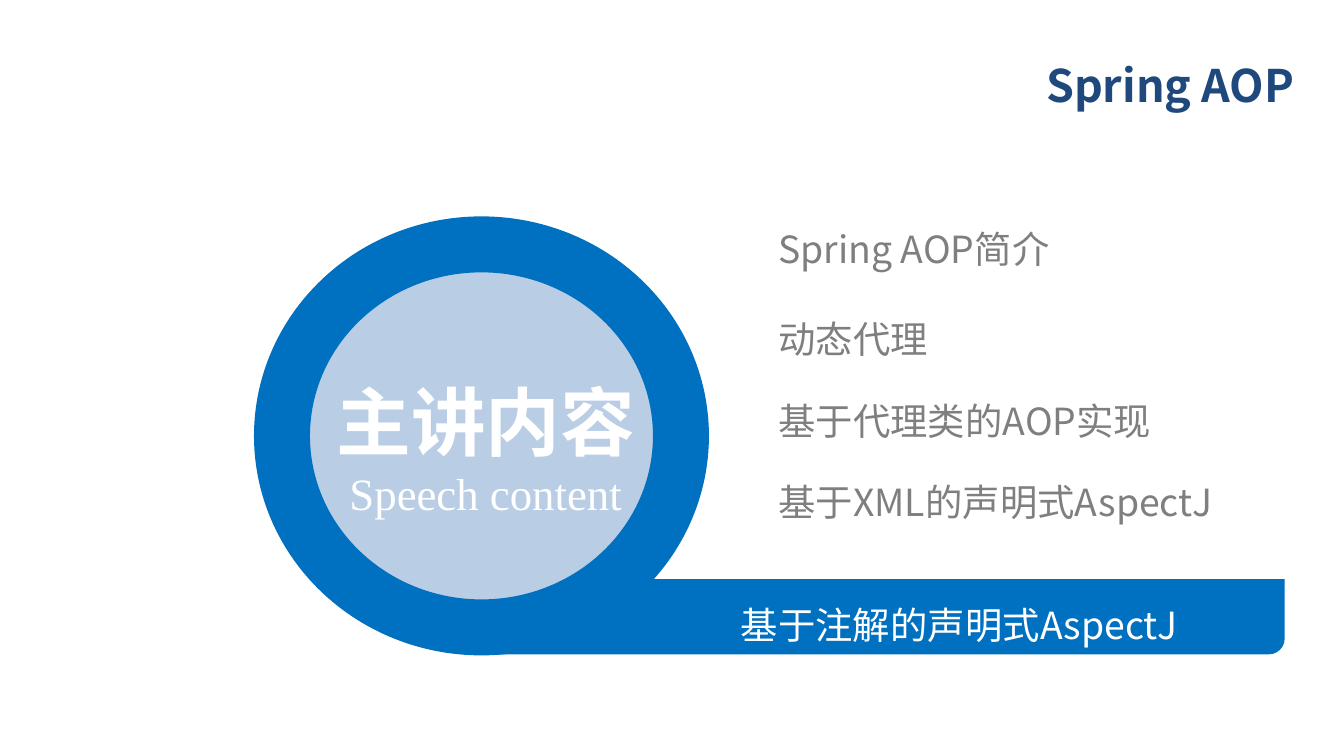
from lxml import etree
from pptx import Presentation
from pptx import util as u
from pptx.dml.color import RGBColor
from pptx.enum import shapes, text
from pptx.oxml.ns import qn

NAVY = RGBColor(0x1F, 0x49, 0x7D)
BLUE = RGBColor(0x00, 0x70, 0xC0)
PALE = RGBColor(0xB9, 0xCD, 0xE5)
GREY = RGBColor(0x7F, 0x7F, 0x7F)
WHITE = RGBColor(0xFF, 0xFF, 0xFF)
SANS = "Noto Sans CJK SC"
SERIF = "Times New Roman"

TOPICS = [
    ("Spring AOP简介", 0),
    ("动态代理", 24.3),
    ("基于代理类的AOP实现", 20),
    ("基于XML的声明式AspectJ", 19.3),
]
CURRENT_TOPIC = "基于注解的声明式AspectJ"


def cm(*lengths):
    return [u.Cm(length) for length in lengths]


def place(part, box):
    part.left, part.top, part.width, part.height = cm(*box)


def set_frame(frame, anchor=text.MSO_ANCHOR.MIDDLE, inset=(0, 0)):
    frame.word_wrap = True
    frame.auto_size = text.MSO_AUTO_SIZE.NONE
    frame.vertical_anchor = anchor
    frame.margin_left = frame.margin_right = u.Cm(inset[0])
    frame.margin_top = frame.margin_bottom = u.Cm(inset[1])


def write(frame, words, size=20, font=SANS, color=GREY, bold=False,
          align=text.PP_ALIGN.LEFT, spacing=1.0, before=0):
    line = frame.paragraphs[-1]
    if line.runs:
        line = frame.add_paragraph()
    line.alignment = align
    line.line_spacing = spacing
    line.space_before = u.Pt(before)
    run = line.add_run()
    run.text = words
    run.font.size = u.Pt(size)
    run.font.name = font
    run.font.bold = bold
    run.font.color.rgb = color
    etree.SubElement(run.font._element, qn("a:ea"), typeface=font)
    return line


def paint(part, fill, border=None, width=0):
    part.shadow.inherit = False
    part.fill.solid()
    part.fill.fore_color.rgb = fill
    if border is None:
        part.line.fill.background()
    else:
        part.line.color.rgb = border
        part.line.width = u.Pt(width)


def heading(slide, box):
    title = slide.shapes.title
    place(title, box)
    set_frame(title.text_frame, inset=(0.25, 0.13))
    write(title.text_frame, "Spring AOP", size=24, color=NAVY, bold=True,
          align=text.PP_ALIGN.RIGHT)


def topic_list(slide, box):
    topics = slide.placeholders[1]
    place(topics, box)
    set_frame(topics.text_frame, anchor=text.MSO_ANCHOR.TOP)
    for topic, gap in TOPICS:
        line = write(topics.text_frame, topic, before=gap)
        layout = line._p.get_or_add_pPr()
        layout.set("marL", "0")
        layout.set("indent", "0")
        etree.SubElement(layout, qn("a:buNone"))


def highlight_bar(slide, box):
    bar = slide.shapes.add_shape(shapes.MSO_SHAPE.ROUND_2_DIAG_RECTANGLE, *cm(*box))
    bar.adjustments[0], bar.adjustments[1] = 0.21, 0
    paint(bar, BLUE)


def content_badge(slide, box):
    left, top, width, height = box
    badge = slide.shapes.add_group_shape()
    disc = badge.shapes.add_shape(shapes.MSO_SHAPE.OVAL, *cm(*box))
    paint(disc, PALE, border=BLUE, width=30)
    caption = badge.shapes.add_textbox(
        *cm(left - 0.05, top + 1.58, width + 0.26, height - 3.56)).text_frame
    set_frame(caption, inset=(0.25, 0.13))
    write(caption, "主讲内容", size=40, color=WHITE, bold=True,
          align=text.PP_ALIGN.CENTER, spacing=1.5)
    write(caption, "Speech content", size=24, font=SERIF, color=WHITE,
          align=text.PP_ALIGN.CENTER)


def current_topic(slide, box):
    label = slide.shapes.add_textbox(*cm(*box)).text_frame
    set_frame(label)
    write(label, CURRENT_TOPIC, color=WHITE)


def main():
    deck = Presentation()
    deck.slide_width, deck.slide_height = cm(25.4, 14.29)
    slide = deck.slides.add_slide(deck.slide_layouts[1])
    heading(slide, (12.29, 0.79, 12.42, 1.6))
    topic_list(slide, (14.71, 4.27, 9.8, 6.3))
    highlight_bar(slide, (9.09, 10.95, 15.19, 1.42))
    content_badge(slide, (5.33, 4.62, 7.54, 7.24))
    current_topic(slide, (14, 11.38, 11.4, 0.86))
    deck.save("out.pptx")


if __name__ == "__main__":
    main()
